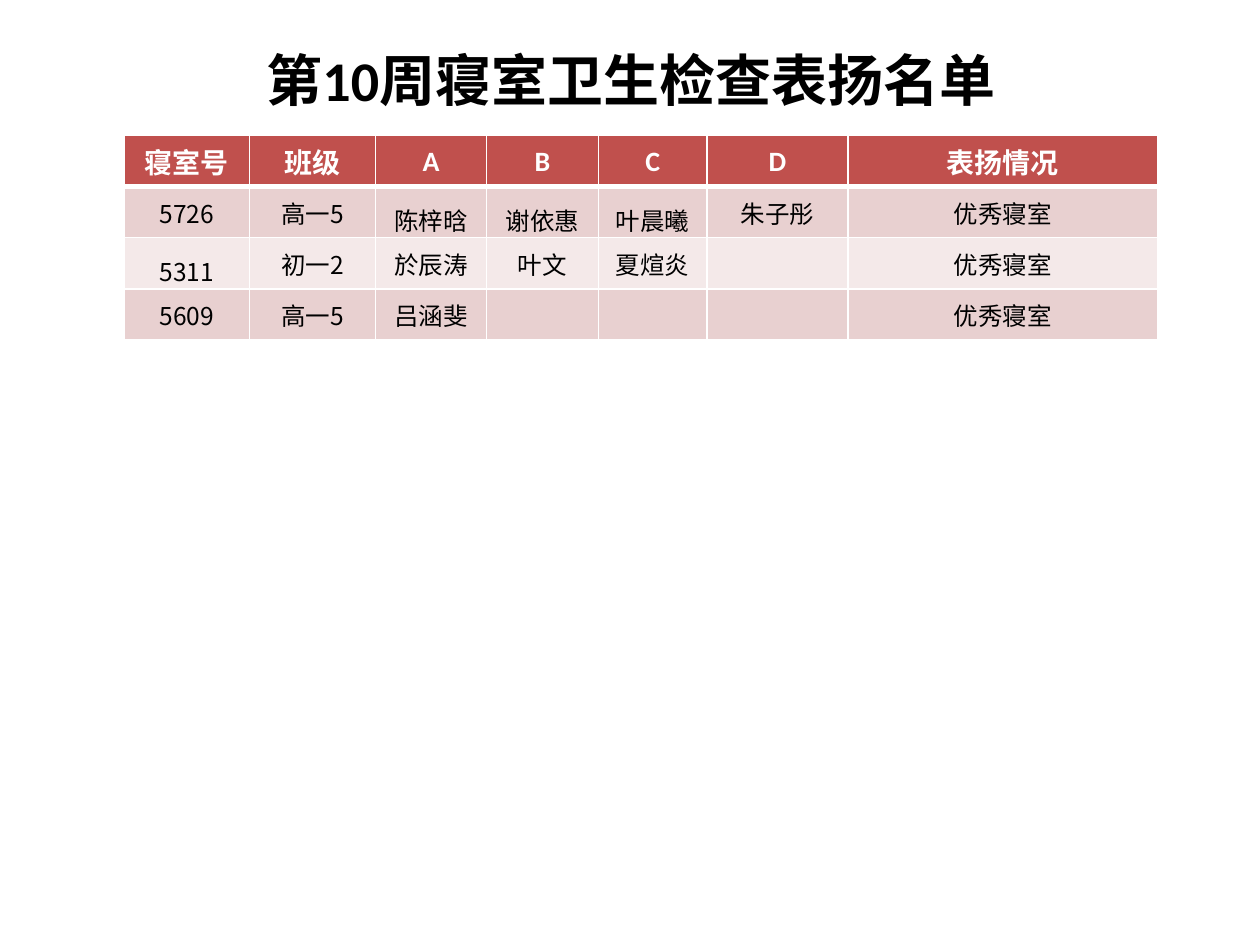
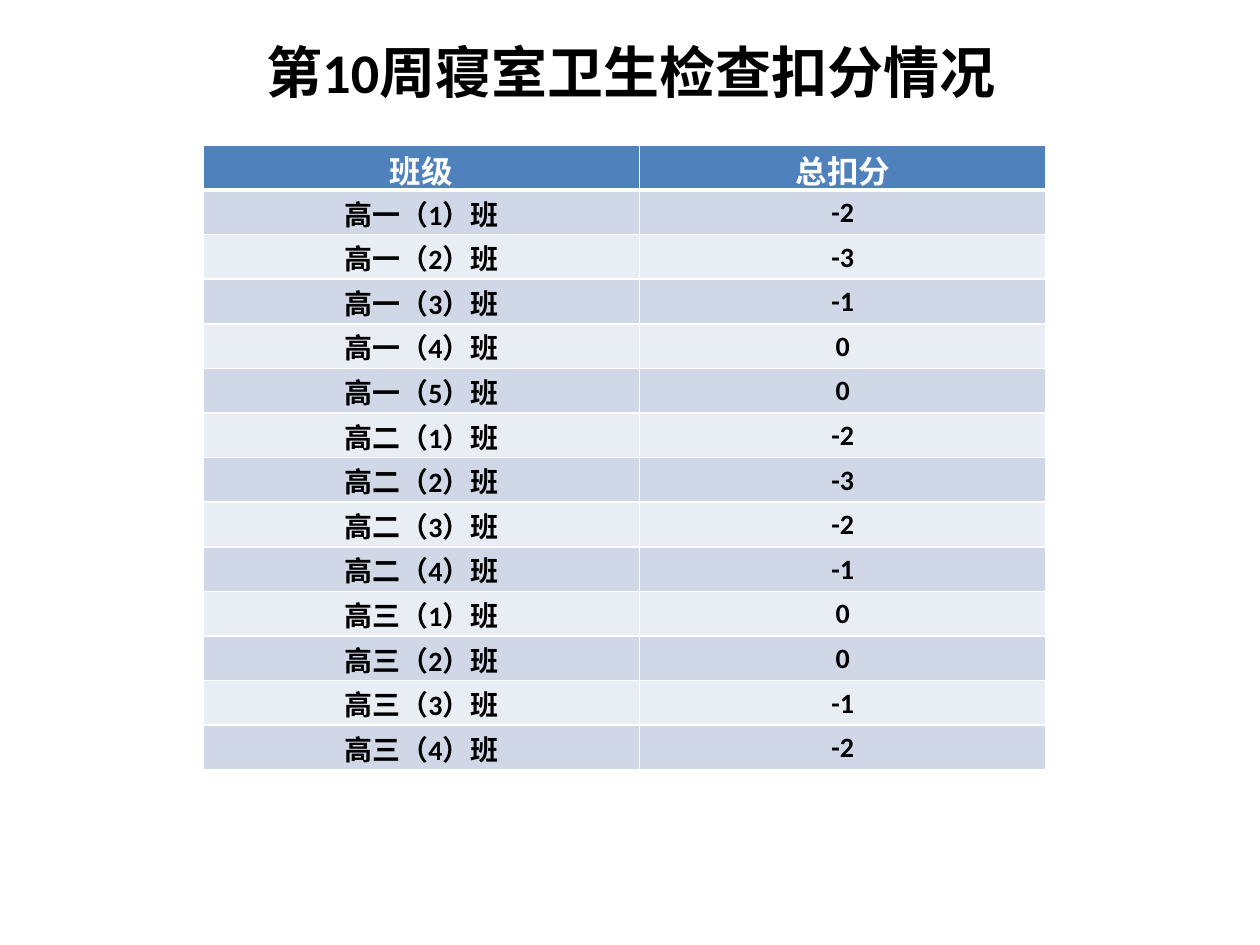
"""Build the weekly dormitory hygiene report: praise list and class deductions."""
from dataclasses import dataclass

from lxml.etree import SubElement
from pptx import Presentation
from pptx.dml.color import RGBColor
from pptx.enum.text import MSO_ANCHOR as Anchor, PP_ALIGN as Align
from pptx.oxml.ns import qn
from pptx.slide import Slide
from pptx.table import _Cell as Cell
from pptx.text.text import _Paragraph as Paragraph
from pptx.util import Pt

WHITE = "FFFFFF"
BLACK = "000000"
LATIN = "Calibri"
CJK = "Noto Sans CJK SC"
TITLE_LEFT, TITLE_WIDTH = 36.7, 648
CELL_INSET = 0.72
THIN, THICK = 1, 3


@dataclass(frozen=True)
class TextStyle:
    """Font settings of one paragraph."""
    size: float
    font: str = LATIN
    bold: bool = True
    color: str = BLACK


@dataclass(frozen=True)
class Title:
    """A slide title and its vertical extent."""
    text: str
    top: float
    height: float


@dataclass(frozen=True)
class Grid:
    """A table with a coloured header and two alternating body fills."""
    left: float
    top: float
    widths: tuple[float, ...]
    row_height: float
    rows: list[tuple[str, ...]]
    header_fill: str
    band_fills: tuple[str, str]
    header_style: TextStyle
    body_style: TextStyle
    bottom_cells: frozenset[tuple[int, int]] = frozenset()


TITLE_STYLE = TextStyle(32)

PRAISE_ROWS = [
    ("寝室号", "班级", "A", "B", "C", "D", "表扬情况"),
    ("5726", "高一5", "陈梓晗", "谢依惠", "叶晨曦", "朱子彤", "优秀寝室"),
    ("5311", "初一2", "於辰涛", "叶文", "夏煊炎", "", "优秀寝室"),
    ("5609", "高一5", "吕涵斐", "", "", "", "优秀寝室"),
]
DEDUCTIONS = {
    "高一": (-2, -3, -1, 0, 0),
    "高二": (-2, -3, -2, -1),
    "高三": (0, 0, -1, -2),
}
DEDUCTION_ROWS = [("班级", "总扣分")] + [
    (f"{grade}（{number}）班", str(points))
    for grade, scores in DEDUCTIONS.items()
    for number, points in enumerate(scores, 1)
]

PAGES = [
    (
        Title("第10周寝室卫生检查表扬名单", 0, 90),
        Grid(70.9, 77.4, (71.8, 72, 63.3, 64.1, 61.9, 80.6, 177), 29.2, PRAISE_ROWS,
             "C0504D", ("E8D0D0", "F4E9E9"),
             TextStyle(16, color=WHITE), TextStyle(14, CJK, False),
             frozenset({(1, 2), (1, 3), (1, 4), (2, 0)})),
    ),
    (
        Title("第10周寝室卫生检查扣分情况", 15.1, 51.1),
        Grid(116.2, 83.1, (249.2, 232.4), 25.5, DEDUCTION_ROWS,
             "4F81BD", ("D0D8E8", "E9EDF4"),
             TextStyle(18, color=WHITE), TextStyle(16)),
    ),
]


def rgb(value: str) -> RGBColor:
    """Turn a hex string into a colour."""
    return RGBColor.from_string(value)


def write(para: Paragraph, text: str, style: TextStyle) -> None:
    """Fill a centred paragraph with styled text."""
    para.alignment = Align.CENTER
    if text:
        para.add_run().text = text
    font = para.font
    font.name, font.size, font.bold = style.font, Pt(style.size), style.bold
    font.color.rgb = rgb(style.color)


def add_title(page: Slide, title: Title) -> None:
    """Place the slide title."""
    box = page.shapes.add_textbox(Pt(TITLE_LEFT), Pt(title.top), Pt(TITLE_WIDTH), Pt(title.height))
    frame = box.text_frame
    frame.word_wrap = True
    frame.vertical_anchor = Anchor.MIDDLE
    write(frame.paragraphs[0], title.text, TITLE_STYLE)


def add_borders(cell: Cell, is_header: bool) -> None:
    """Draw white cell borders, with a heavier line under the header."""
    borders = {"a:lnL": THIN, "a:lnR": THIN}
    if is_header:
        borders["a:lnT"] = THIN
    borders["a:lnB"] = THICK if is_header else THIN
    properties = cell._tc.get_or_add_tcPr()
    for tag, width in borders.items():
        line = SubElement(properties, qn(tag), w=str(Pt(width)))
        SubElement(SubElement(line, qn("a:solidFill")), qn("a:srgbClr"), val=WHITE)


def add_grid(page: Slide, grid: Grid) -> None:
    """Place a banded table."""
    table = page.shapes.add_table(
        len(grid.rows), len(grid.widths), Pt(grid.left), Pt(grid.top),
        Pt(sum(grid.widths)), Pt(grid.row_height * len(grid.rows))).table
    for column, width in zip(table.columns, grid.widths):
        column.width = Pt(width)
    for row_index, texts in enumerate(grid.rows):
        is_header = row_index == 0
        table.rows[row_index].height = Pt(grid.row_height)
        fill = grid.header_fill if is_header else grid.band_fills[(row_index - 1) % 2]
        style = grid.header_style if is_header else grid.body_style
        for column_index, text in enumerate(texts):
            cell = table.cell(row_index, column_index)
            cell.margin_left = cell.margin_right = cell.margin_top = Pt(CELL_INSET)
            cell.margin_bottom = Pt(0)
            at_bottom = (row_index, column_index) in grid.bottom_cells
            cell.vertical_anchor = Anchor.BOTTOM if at_bottom else Anchor.MIDDLE
            add_borders(cell, is_header)
            cell.fill.solid()
            cell.fill.fore_color.rgb = rgb(fill)
            write(cell.text_frame.paragraphs[0], text, style)


def main() -> None:
    """Build and save the deck."""
    deck = Presentation()
    deck.slide_width, deck.slide_height = Pt(720), Pt(540)
    for title, grid in PAGES:
        page = deck.slides.add_slide(deck.slide_layouts[6])
        add_title(page, title)
        add_grid(page, grid)
    deck.save("out.pptx")


if __name__ == "__main__":
    main()
